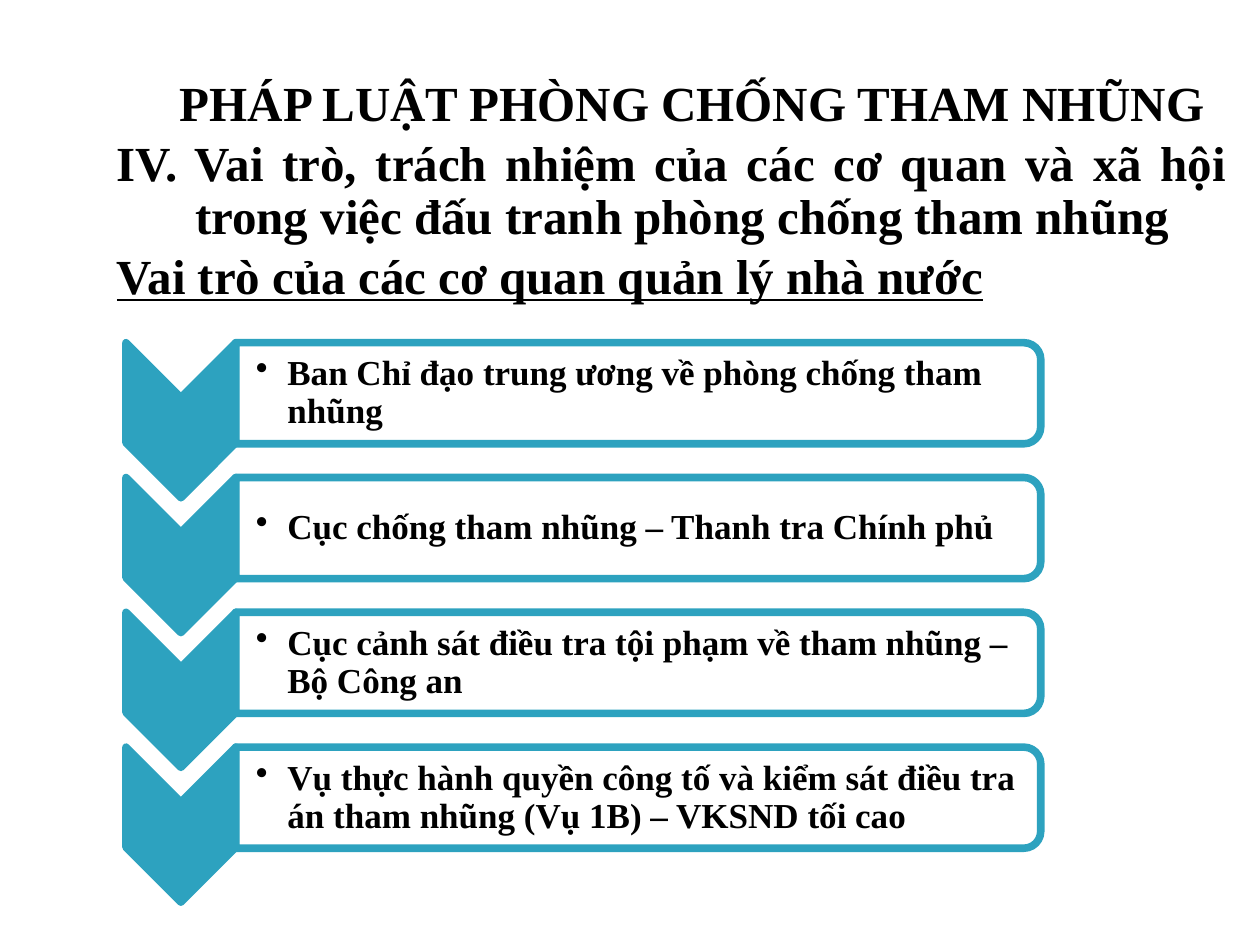
from lxml.etree import SubElement
from pptx import Presentation
from pptx.dml.color import RGBColor
from pptx.enum.shapes import MSO_SHAPE as Preset
from pptx.enum.text import MSO_ANCHOR as Anchor, PP_ALIGN as Align
from pptx.oxml.ns import qn
from pptx.util import Inches, Pt

TEAL = RGBColor(0x2D, 0xA2, 0xBF)
WHITE = RGBColor(0xFF, 0xFF, 0xFF)
BLACK = RGBColor(0, 0, 0)
FONT = "Times New Roman"

HEADINGS = [
    ("PHÁP LUẬT PHÒNG CHỐNG THAM NHŨNG", Align.LEFT, 0.5, 0, False),
    ("IV. Vai trò, trách nhiệm của các cơ quan và xã hội trong việc "
     "đấu tranh phòng chống tham nhũng", Align.JUSTIFY, 0.62, -0.62, False),
    ("Vai trò của các cơ quan quản lý nhà nước",
     Align.JUSTIFY, 0.62, -0.62, True),
]
AGENCIES = [
    "Ban Chỉ đạo trung ương về phòng chống tham nhũng",
    "Cục chống tham nhũng – Thanh tra Chính phủ",
    "Cục cảnh sát điều tra tội phạm về tham nhũng – Bộ Công an",
    "Vụ thực hành quyền công tố và kiểm sát điều tra án tham nhũng "
    "(Vụ 1B) – VKSND tối cao",
]


def style_paragraph(paragraph, text, size, margin, indent):
    paragraph.text = text
    paragraph.line_spacing = 0.9
    font = paragraph.font
    font.name, font.size, font.bold = FONT, Pt(size), True
    font.color.rgb = BLACK
    properties = paragraph._p.get_or_add_pPr()
    properties.set("marL", str(Inches(margin)))
    properties.set("indent", str(Inches(indent)))
    return properties


def add_text_frame(slide, left, top, width, height):
    frame = slide.shapes.add_textbox(
        Inches(left), Inches(top), Inches(width), Inches(height)).text_frame
    frame.word_wrap = True
    return frame


def add_headings(slide, left, top, width, height):
    frame = add_text_frame(slide, left, top, width, height)
    for index, (text, align, margin, indent, underline) in enumerate(HEADINGS):
        paragraph = frame.add_paragraph() if index else frame.paragraphs[0]
        style_paragraph(paragraph, text, 28, margin, indent)
        paragraph.alignment = align
        paragraph.space_before = Pt(4)
        paragraph.font.underline = underline


def add_turned_shape(slide, preset, left, top, width, height, fill):
    shape = slide.shapes.add_shape(
        preset, Inches(left + (width - height) / 2),
        Inches(top + (height - width) / 2), Inches(height), Inches(width))
    shape.rotation = 90
    shape.shadow.inherit = False
    shape.fill.solid()
    shape.fill.fore_color.rgb = fill
    shape.line.color.rgb = TEAL
    shape.line.width = Pt(4.33)
    SubElement(shape.line._get_or_add_ln(), qn("a:round"))
    return shape


def add_agency(slide, text, left, top, width, pitch):
    arrow_width = 0.12 * width
    card_left, card_width = left + arrow_width, width - arrow_width
    card_height = 0.75 * pitch
    add_turned_shape(slide, Preset.CHEVRON, left, top,
                     arrow_width, 1.15 * pitch, TEAL)
    card = add_turned_shape(slide, Preset.ROUND_2_SAME_RECTANGLE, card_left, top,
                            card_width, card_height, WHITE)
    color = card.fill._xPr.find(qn("a:solidFill"))[0]
    SubElement(color, qn("a:alpha"), val="90000")

    frame = add_text_frame(slide, card_left, top + 0.05 * card_height,
                           card_width - 0.04, 0.9 * card_height)
    frame.vertical_anchor = Anchor.MIDDLE
    frame.margin_left = Inches(0.16)
    frame.margin_top = frame.margin_right = frame.margin_bottom = Inches(0.01)
    paragraph = frame.paragraphs[0]
    paragraph.space_after = Pt(3)
    properties = style_paragraph(paragraph, text, 20, 0.25, -0.25)
    bullet = properties.makeelement(qn("a:buChar"), {"char": "•"})
    properties.insert_element_before(
        bullet, "a:tabLst", "a:defRPr", "a:extLst")


def add_agency_list(slide, left, top, width, height):
    pitch = height / len(AGENCIES)
    for row, text in enumerate(AGENCIES):
        add_agency(slide, text, left, top + row * pitch, width, pitch)


def main():
    deck = Presentation()
    deck.slide_width, deck.slide_height = Inches(10), Inches(7.5)
    slide = deck.slides.add_slide(deck.slide_layouts[6])
    add_headings(slide, 0.83, 0.58, 9, 1.92)
    add_agency_list(slide, 1, 2.72, 7.26, 4.28)
    deck.save("out.pptx")


if __name__ == "__main__":
    main()
